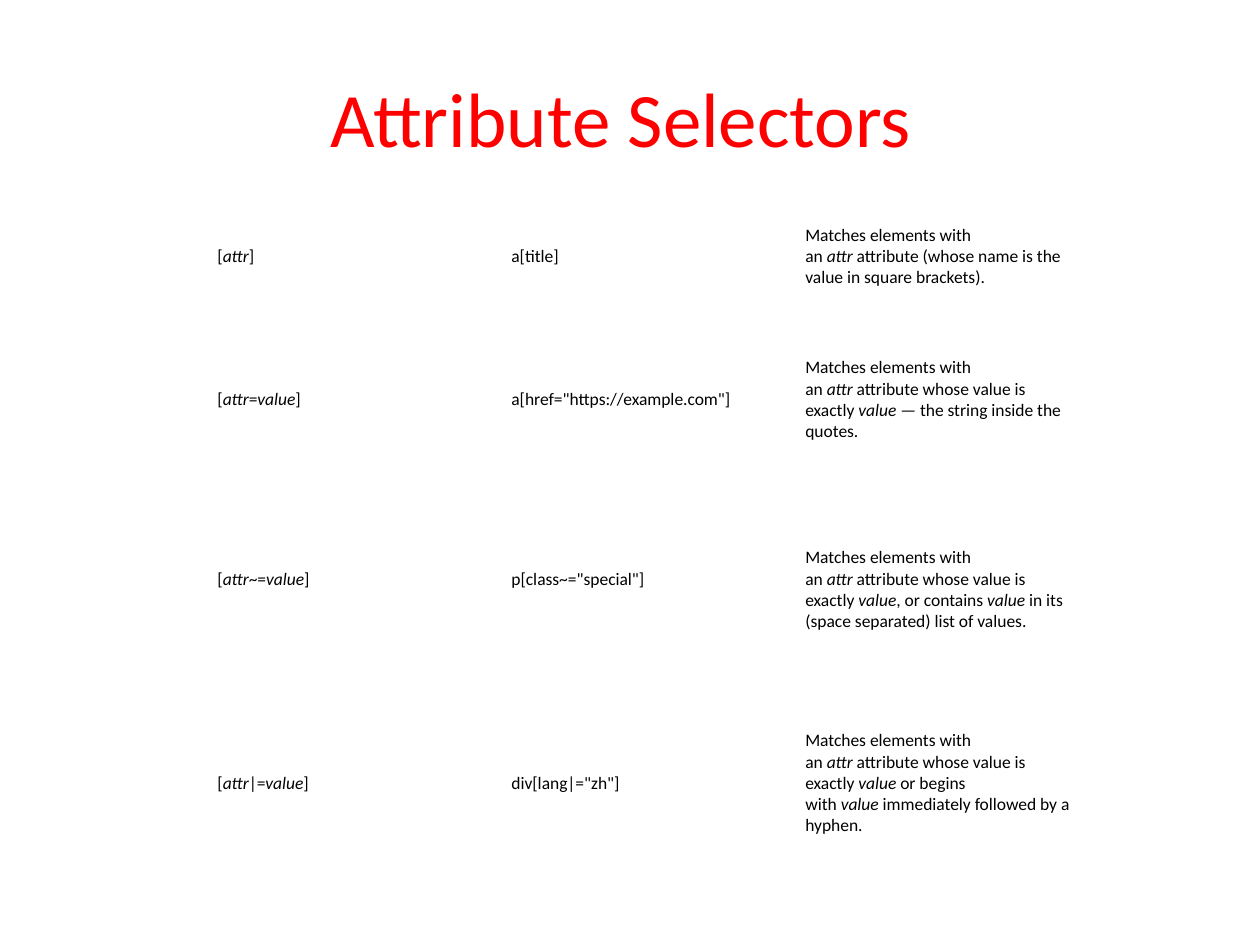
from pptx import Presentation
from pptx.dml.color import RGBColor
from pptx.enum.text import MSO_ANCHOR, PP_ALIGN
from pptx.util import Pt

SELECTORS = [
    ("[*attr*]", "a[title]",
     "Matches elements with an *attr* attribute (whose name is the value in square brackets)."),
    ("[*attr*=*value*]", 'a[href="https://example.com"]',
     "Matches elements with an *attr* attribute whose value is exactly *value* — the string inside the quotes."),
    ("[*attr*~=*value*]", 'p[class~="special"]',
     "Matches elements with an *attr* attribute whose value is exactly *value*, or contains *value* in its "
     "(space separated) list of values."),
    ("[*attr*|=*value*]", 'div[lang|="zh"]',
     "Matches elements with an *attr* attribute whose value is exactly *value* or begins with *value* "
     "immediately followed by a hyphen."),
]
ROW_HEIGHTS = [74.9, 88.6, 116.6, 116.6]
COLUMN_WIDTH = 168
LOWERED_CELL = (2, 2)
HARD_SPACE = chr(160)


def colour(hex_text):
    return RGBColor.from_string(hex_text)


def bind_terms(marked_text):
    return marked_text.replace(" *", HARD_SPACE + "*").replace("* ", "*" + HARD_SPACE)


class SlideBuilder:
    """Adds styled elements to one slide."""

    font = "Calibri"
    title_colour = "FF0000"
    body_colour = "000000"
    cell_colour = "FFFFFF"

    def __init__(self, slide):
        self.slide = slide

    def runs(self, paragraph, marked_text, size, hex_text):
        for index, part in enumerate(bind_terms(marked_text).split("*")):
            if part:
                run = paragraph.add_run()
                run.text = part
                run.font.name = self.font
                run.font.size = Pt(size)
                run.font.italic = index % 2 == 1
                run.font.color.rgb = colour(hex_text)

    def title(self, text, left, top, width, height):
        frame = self.slide.shapes.add_textbox(Pt(left), Pt(top), Pt(width), Pt(height)).text_frame
        frame.word_wrap = True
        frame.vertical_anchor = MSO_ANCHOR.MIDDLE
        heading = frame.paragraphs[0]
        heading.alignment = PP_ALIGN.CENTER
        self.runs(heading, text, 44, self.title_colour)

    def cell(self, cell, text, extra_top):
        cell.fill.solid()
        cell.fill.fore_color.rgb = colour(self.cell_colour)
        cell.vertical_anchor = MSO_ANCHOR.MIDDLE
        cell.margin_left = cell.margin_right = Pt(4.5)
        cell.margin_top = Pt(2.25 + extra_top)
        cell.margin_bottom = Pt(2.25)
        self.runs(cell.text_frame.paragraphs[0], text, 10, self.body_colour)

    def table(self, rows, left, top):
        columns = len(rows[0])
        table = self.slide.shapes.add_table(
            len(rows), columns, Pt(left), Pt(top),
            Pt(columns * COLUMN_WIDTH), Pt(sum(ROW_HEIGHTS))).table
        table.first_row = table.horz_banding = False
        for column in table.columns:
            column.width = Pt(COLUMN_WIDTH)
        for r, (texts, height) in enumerate(zip(rows, ROW_HEIGHTS)):
            table.rows[r].height = Pt(height)
            for c, text in enumerate(texts):
                self.cell(table.cell(r, c), text, 12 if (r, c) == LOWERED_CELL else 0)


def main():
    presentation = Presentation()
    presentation.slide_width, presentation.slide_height = Pt(720), Pt(540)
    builder = SlideBuilder(presentation.slides.add_slide(presentation.slide_layouts[6]))
    builder.title("Attribute Selectors ", 36, 21.6, 648, 90)
    builder.table(SELECTORS, 119.75, 109.25)
    presentation.save("out.pptx")


if __name__ == "__main__":
    main()
